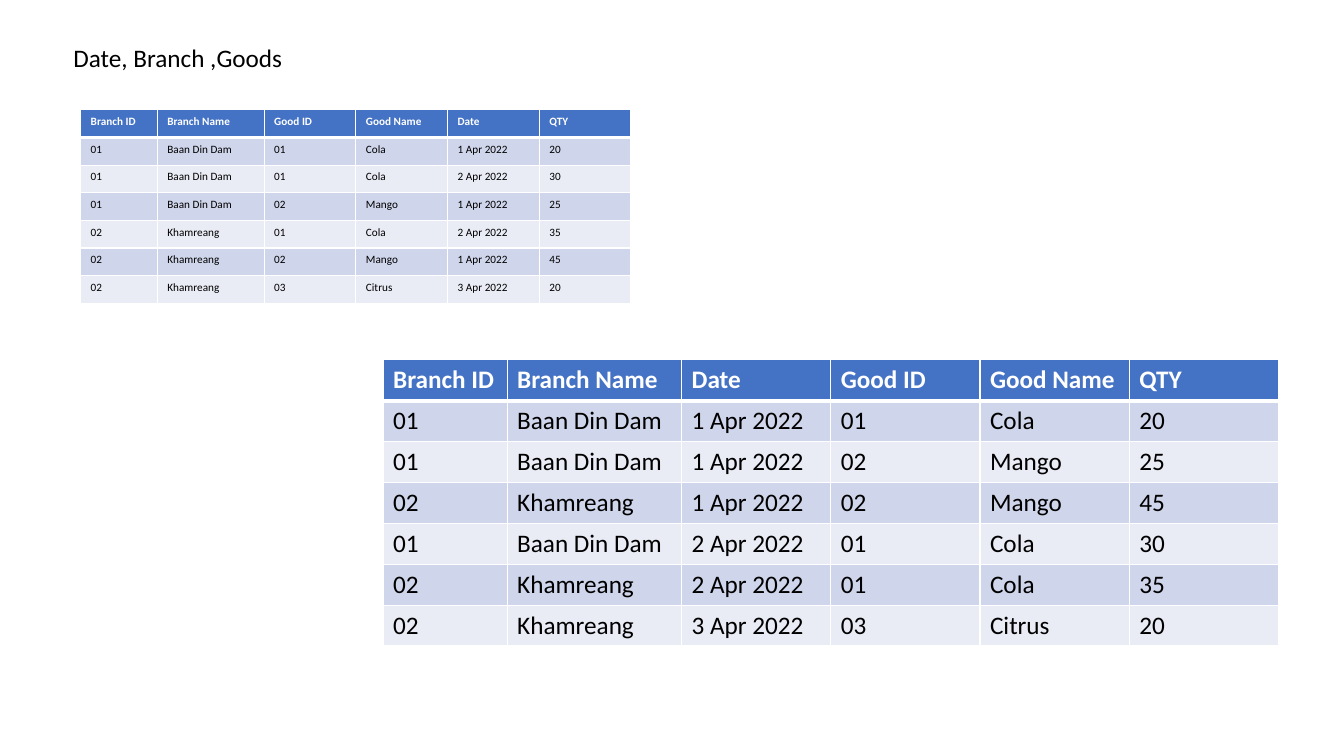
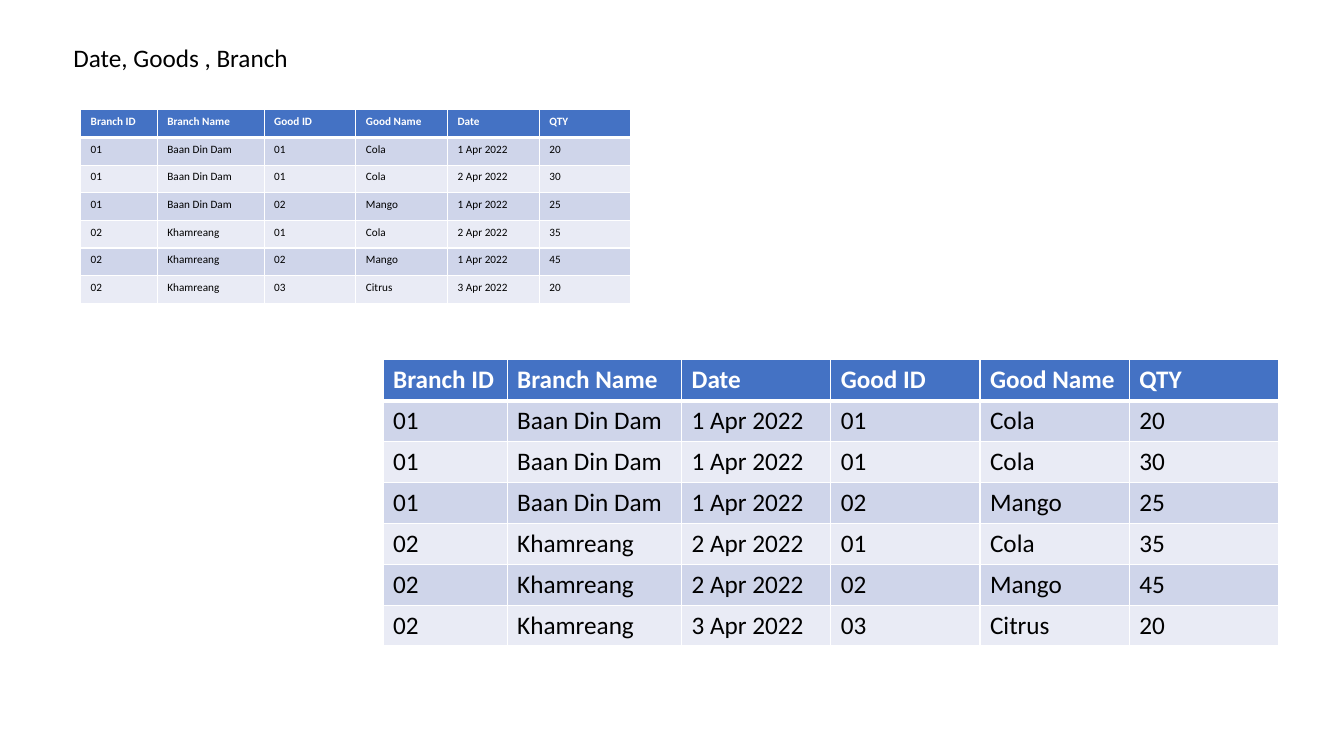
import dataclasses

import lxml.etree
import pptx
import pptx.dml.color
import pptx.enum.text
import pptx.oxml.ns
import pptx.util

Inches = pptx.util.Inches
Pt = pptx.util.Pt


@dataclasses.dataclass(frozen=True)
class Theme:
    font: str = "Calibri"
    text: str = "000000"
    header_text: str = "FFFFFF"
    header_fill: str = "4472C4"
    band_fills: tuple = ("CFD5EA", "E9EBF5")
    border: str = "FFFFFF"
    thin_border: float = 1
    thick_border: float = 3
    title_size: float = 18
    large_size: float = 18
    small_size: float = 8


@dataclasses.dataclass(frozen=True)
class Sale:
    branch: str
    good: str
    day: int
    quantity: int


@dataclasses.dataclass(frozen=True)
class TableLayout:
    left: float
    top: float
    height: float
    widths: tuple
    size: float
    columns: tuple


THEME = Theme()
BRANCHES = {"01": "Baan Din Dam", "02": "Khamreang"}
GOODS = {"01": "Cola", "02": "Mango", "03": "Citrus"}
SALES = [
    Sale("01", "01", 1, 20),
    Sale("01", "01", 2, 30),
    Sale("01", "02", 1, 25),
    Sale("02", "01", 2, 35),
    Sale("02", "02", 1, 45),
    Sale("02", "03", 3, 20),
]
FIELDS = {
    "Branch ID ": lambda sale: sale.branch,
    "Branch Name ": lambda sale: BRANCHES[sale.branch],
    "Good ID": lambda sale: sale.good,
    "Good Name": lambda sale: GOODS[sale.good],
    "Date": lambda sale: f"{sale.day} Apr 2022",
    "QTY": lambda sale: str(sale.quantity),
}
SOURCE_LAYOUT = TableLayout(
    0.8, 1.09, 1.92, (0.76, 1.06) + (0.91,) * 4, THEME.small_size, tuple(FIELDS)
)
SORTED_LAYOUT = TableLayout(
    3.8, 3.57, 2.84, (1.23, 1.73) + (1.48,) * 4, THEME.large_size,
    ("Branch ID ", "Branch Name ", "Date", "Good ID", "Good Name", "QTY"),
)


def rgb(value):
    return pptx.dml.color.RGBColor.from_string(value)


def format_text(frame, size, color, bold=False):
    for para in frame.paragraphs:
        for span in para.runs:
            span.font.name = THEME.font
            span.font.size = Pt(size)
            span.font.bold = bold
            span.font.color.rgb = rgb(color)


def add_title(page, text):
    box = page.shapes.add_textbox(Inches(0.63), Inches(0.37), Inches(3.68), Inches(0.4))
    frame = box.text_frame
    frame.word_wrap = True
    frame.auto_size = pptx.enum.text.MSO_AUTO_SIZE.SHAPE_TO_FIT_TEXT
    frame.text = text
    format_text(frame, THEME.title_size, THEME.text)


def add_borders(cell, top, bottom):
    qn = pptx.oxml.ns.qn
    properties = cell._tc.get_or_add_tcPr()
    thin = THEME.thin_border
    for side, width in (("L", thin), ("R", thin), ("T", top), ("B", bottom)):
        line = lxml.etree.SubElement(properties, qn(f"a:ln{side}"), w=str(Pt(width)))
        fill = lxml.etree.SubElement(line, qn("a:solidFill"))
        lxml.etree.SubElement(fill, qn("a:srgbClr"), val=THEME.border)


def format_cell(cell, row, size):
    header = row == 0
    thin, thick = THEME.thin_border, THEME.thick_border
    add_borders(cell, thick if row == 1 else thin, thick if header else thin)
    cell.fill.solid()
    fill = THEME.header_fill if header else THEME.band_fills[(row - 1) % 2]
    cell.fill.fore_color.rgb = rgb(fill)
    format_text(cell.text_frame, size, THEME.header_text if header else THEME.text, header)


def add_sales_table(page, layout, sales):
    rows = [layout.columns]
    rows += [[FIELDS[name](sale) for name in layout.columns] for sale in sales]
    table = page.shapes.add_table(
        len(rows), len(layout.columns), Inches(layout.left), Inches(layout.top),
        Inches(sum(layout.widths)), Inches(layout.height),
    ).table
    for column, width in zip(table.columns, layout.widths):
        column.width = Inches(width)
    for row, values in enumerate(rows):
        for column, value in enumerate(values):
            cell = table.cell(row, column)
            cell.text_frame.text = value
            format_cell(cell, row, layout.size)


def add_sorting_page(deck, title, sorted_sales):
    page = deck.slides.add_slide(deck.slide_layouts[6])
    add_title(page, title)
    add_sales_table(page, SORTED_LAYOUT, sorted_sales)
    add_sales_table(page, SOURCE_LAYOUT, SALES)


def main():
    deck = pptx.Presentation()
    deck.slide_width = Inches(13.33)
    deck.slide_height = Inches(7.5)
    by_branch = sorted(SALES, key=lambda sale: (sale.day, sale.branch, sale.good))
    days = sorted(sale.day for sale in SALES)
    by_goods = [dataclasses.replace(sale, day=day) for sale, day in zip(SALES, days)]
    add_sorting_page(deck, "Date, Branch ,Goods", by_branch)
    add_sorting_page(deck, "Date, Goods , Branch", by_goods)
    deck.save("out.pptx")


main()
